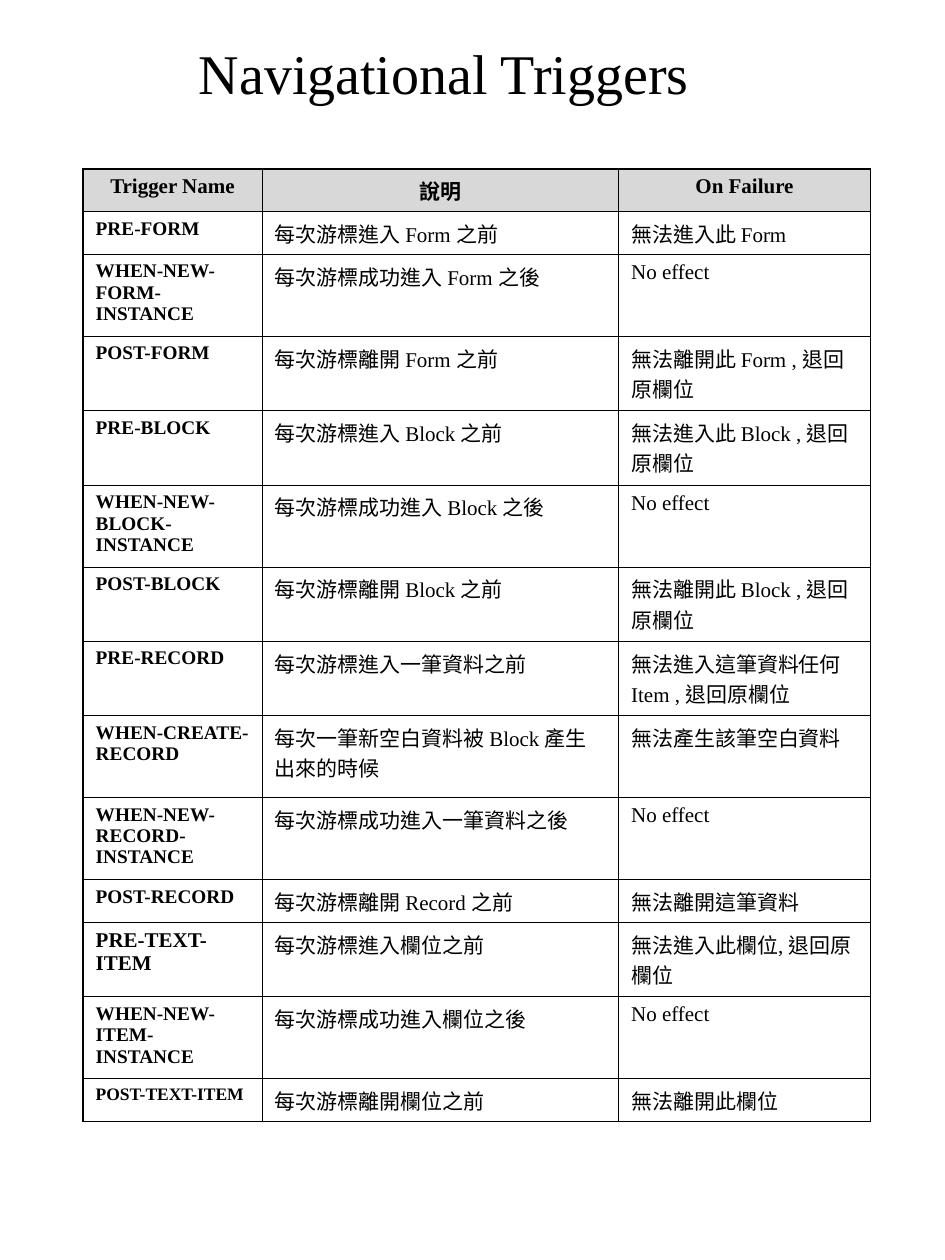
from lxml.etree import SubElement
from pptx import Presentation
from pptx.dml.color import RGBColor
from pptx.enum.lang import MSO_LANGUAGE_ID
from pptx.enum.text import MSO_ANCHOR, PP_ALIGN
from pptx.oxml import parse_xml
from pptx.oxml.ns import nsdecls, qn
from pptx.util import Inches, Pt

BLACK = RGBColor(0x00, 0x00, 0x00)
HEADER_GRAY = RGBColor(0xB2, 0xB2, 0xB2)
FONT = "Times New Roman"
THIN, THICK = Pt(0.45), Pt(1.08)

TITLE = "Navigational Triggers"
HEADER = ("Trigger Name", "說明", "On Failure")
TRIGGERS = [
    ("PRE-FORM", "每次游標進入 Form 之前", "無法進入此 Form"),
    ("WHEN-NEW-FORM-INSTANCE", "每次游標成功進入 Form 之後", "No effect"),
    ("POST-FORM", "每次游標離開 Form 之前", "無法離開此 Form , 退回原欄位"),
    ("PRE-BLOCK", "每次游標進入 Block 之前", "無法進入此 Block , 退回原欄位"),
    ("WHEN-NEW-BLOCK-INSTANCE", "每次游標成功進入 Block 之後", "No effect"),
    ("POST-BLOCK", "每次游標離開 Block 之前", "無法離開此 Block , 退回原欄位"),
    ("PRE-RECORD", "每次游標進入一筆資料之前", "無法進入這筆資料任何 Item , 退回原欄位"),
    ("WHEN-CREATE-RECORD", "每次一筆新空白資料被 Block 產生出來的時候", "無法產生該筆空白資料"),
    ("WHEN-NEW-RECORD-INSTANCE", "每次游標成功進入一筆資料之後", "No effect"),
    ("POST-RECORD", "每次游標離開 Record 之前", "無法離開這筆資料"),
    ("PRE-TEXT-ITEM", "每次游標進入欄位之前", "無法進入此欄位, 退回原欄位"),
    ("WHEN-NEW-ITEM-INSTANCE", "每次游標成功進入欄位之後", "No effect"),
    ("POST-TEXT-ITEM", "每次游標離開欄位之前", "無法離開此欄位"),
]
NAME_SIZES = {"PRE-TEXT-ITEM": 12, "POST-TEXT-ITEM": 10}  # all other names: 11
COL_WIDTHS = (1.42, 2.83, 2)
LOW, MID, TALL = 0.34, 0.59, 0.65
ROW_HEIGHTS = (LOW, LOW, TALL, MID, MID, TALL, MID, MID, TALL, TALL, LOW, MID, TALL, LOW)


def write(tf, text, size, bold=False, align=PP_ALIGN.LEFT):
    p = tf.paragraphs[0]
    p.alignment = align
    r = p.add_run()
    r.text = text
    style = {"name": FONT, "size": Pt(size), "bold": bold,
             "language_id": MSO_LANGUAGE_ID.TRADITIONAL_CHINESE}
    for key, value in style.items():
        setattr(r.font, key, value)
    r.font.color.rgb = BLACK


def set_borders(cell, widths):
    """Draw the left, right, top and bottom borders, in that order."""
    tc_pr = cell._tc.get_or_add_tcPr()
    for i, (side, width) in enumerate(zip("LRTB", widths)):
        tc_pr.insert(i, parse_xml(
            f'<a:ln{side} {nsdecls("a")} w="{int(width)}"><a:solidFill>'
            f'<a:srgbClr val="{BLACK}"/></a:solidFill></a:ln{side}>'))


def fill_header(cell):
    """Fill with half-transparent gray."""
    cell.fill.solid()
    cell.fill.fore_color.rgb = HEADER_GRAY
    color = cell._tc.tcPr.find(".//" + qn("a:srgbClr"))
    SubElement(color, qn("a:alpha"), val="50000")


prs = Presentation()
prs.slide_width, prs.slide_height = Inches(7.5), Inches(10)
s = prs.slides.add_slide(prs.slide_layouts[6])

title = s.shapes.add_textbox(Inches(0.34), Inches(0.24), Inches(6.37), Inches(0.67))
title.text_frame.word_wrap = True
title.text_frame.vertical_anchor = MSO_ANCHOR.MIDDLE
write(title.text_frame, TITLE, 32, align=PP_ALIGN.CENTER)

rows = [HEADER] + TRIGGERS
table = s.shapes.add_table(len(rows), len(HEADER), Inches(0.66), Inches(1.34),
                           Inches(sum(COL_WIDTHS)), Inches(sum(ROW_HEIGHTS))).table
table.first_row = table.horz_banding = False
for column, width in zip(table.columns, COL_WIDTHS):
    column.width = Inches(width)
for row, height in zip(table.rows, ROW_HEIGHTS):
    row.height = Inches(height)

last_row, last_col = len(rows) - 1, len(HEADER) - 1
for i, row in enumerate(rows):
    for j, text in enumerate(row):
        cell = table.cell(i, j)
        if i == 0:
            write(cell.text_frame, text, 12, True, PP_ALIGN.CENTER)
            fill_header(cell)
        else:
            size = NAME_SIZES.get(text, 11) if j == 0 else 12
            write(cell.text_frame, text, size, bold=j == 0)
            cell.fill.background()
        outer = (j == 0, j == last_col, i == 0, i == last_row)
        set_borders(cell, [THICK if edge else THIN for edge in outer])

prs.save("out.pptx")
